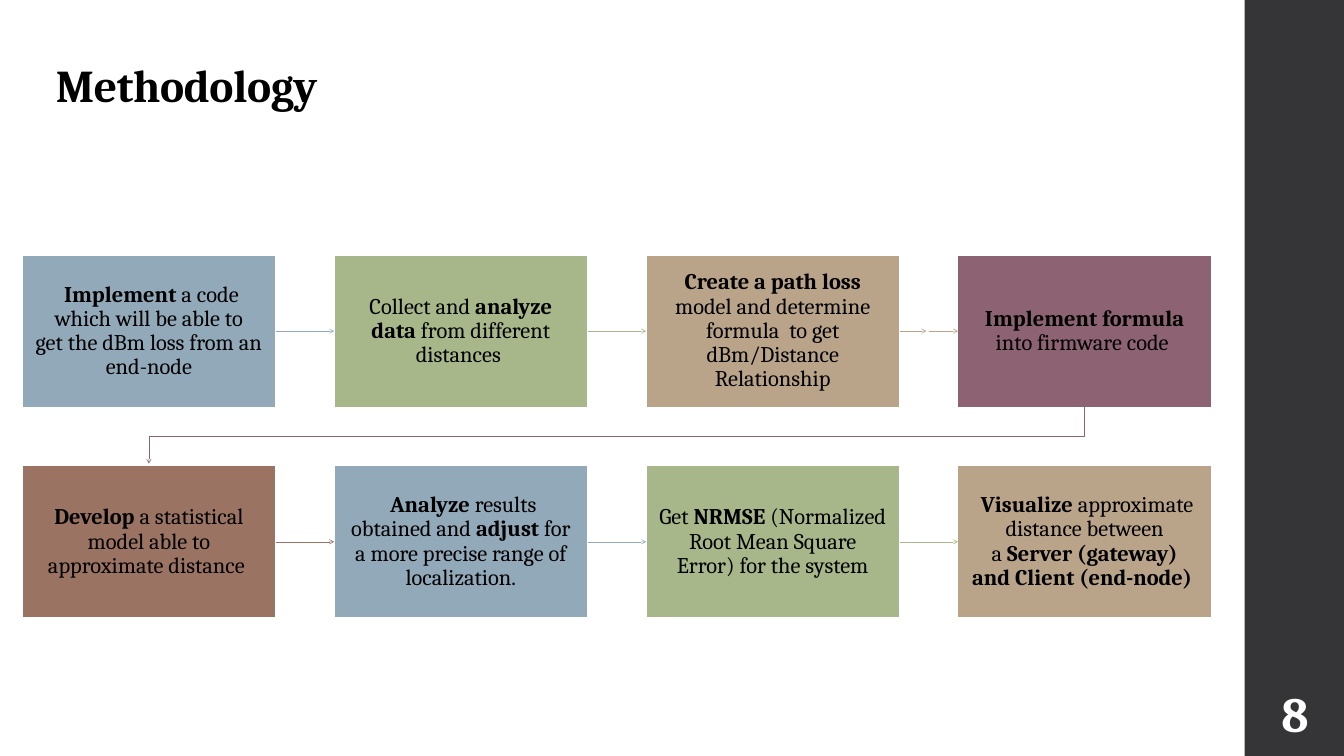
from dataclasses import dataclass

from lxml.etree import SubElement
from pptx import Presentation
from pptx.dml.color import RGBColor as Color
from pptx.enum.shapes import MSO_CONNECTOR as Link, MSO_SHAPE as Kind
from pptx.enum.text import MSO_ANCHOR as Anchor, PP_ALIGN as Align
from pptx.oxml.ns import qn
from pptx.util import Inches, Pt


@dataclass(frozen=True)
class Theme:
    font: str = "Cambria"
    ink: str = "000000"
    paper: str = "FFFFFF"
    bar: str = "353537"
    blue: str = "92A9B9"
    green: str = "A7B789"
    tan: str = "B9A489"
    plum: str = "8D6374"
    rust: str = "9B7362"
    title: float = 65
    body: float = 32
    page: float = 70
    edge: float = 1.35
    wire: float = 0.75


@dataclass(frozen=True)
class Step:
    text: str
    fill: str


T = Theme()
LEFT, TOP = 0.44, 5.06
WIDE, HIGH = 5.03, 3.02
PITCH, DROP = 6.19, 4.18
COLS = 4
SPLIT = 2
BOLD, TIE = "*", "~"
HARD = chr(160)

STEPS = [
    Step("*~Implement *a code which~will be able to get~the dBm loss from an end-node", T.blue),
    Step("Collect and *analyze data* from different distances~", T.green),
    Step("*Create a path loss* model and determine formula~ to get dBm/Distance Relationship", T.tan),
    Step("*Implement formula *into firmware code~", T.plum),
    Step("*Develop *a statistical model able to approximate distance~", T.rust),
    Step("*~Analyze *results obtained and *adjust* for a more precise range of localization.", T.blue),
    Step("Get *NRMSE* (Normalized Root Mean Square Error) for the system", T.green),
    Step("*~Visualize~*approximate distance between a~*Server (gateway) and Client (end-node)~*", T.tan),
]


def spot(index: int) -> tuple[float, float]:
    row, col = divmod(index, COLS)
    return LEFT + col * PITCH, TOP + row * DROP


def write(frame, text: str, size: float, color: str, align, anchor, pad=(0.1, 0.05)):
    frame.word_wrap = True
    frame.vertical_anchor = anchor
    frame.margin_left = frame.margin_right = Inches(pad[0])
    frame.margin_top = frame.margin_bottom = Inches(pad[1])
    para = frame.paragraphs[0]
    para.alignment = align
    para.line_spacing = 0.9
    font = para.font
    font.name, font.size = T.font, Pt(size)
    font.color.rgb = Color.from_string(color)
    for turn, part in enumerate(text.replace(TIE, HARD).split(BOLD)):
        if part:
            run = para.add_run()
            run.text = part
            run.font.bold = turn % 2 == 1
    return para


def block(slide, x: float, y: float, wide: float, high: float, fill: str):
    shape = slide.shapes.add_shape(
        Kind.RECTANGLE, Inches(x), Inches(y), Inches(wide), Inches(high))
    shape.shadow.inherit = False
    shape.fill.solid()
    shape.fill.fore_color.rgb = Color.from_string(fill)
    shape.line.fill.background()
    return shape


def label(slide, x: float, y: float, wide: float, high: float):
    return slide.shapes.add_textbox(
        Inches(x), Inches(y), Inches(wide), Inches(high)).text_frame


def card(slide, index: int, step: Step):
    shape = block(slide, *spot(index), WIDE, HIGH, step.fill)
    shape.line.color.rgb = Color.from_string(T.paper)
    shape.line.width = Pt(T.edge)
    write(shape.text_frame, step.text, T.body, T.ink,
          Align.CENTER, Anchor.MIDDLE, (0.25, 0.26))
    return shape


def style(line, color: str) -> None:
    line.color.rgb = Color.from_string(color)
    line.width = Pt(T.wire)
    SubElement(line._get_or_add_ln(), qn("a:tailEnd")).set("type", "arrow")


def arrow(slide, start: float, end: float, y: float, color: str):
    wire = slide.shapes.add_connector(
        Link.STRAIGHT, Inches(start), Inches(y), Inches(end), Inches(y))
    style(wire.line, color)
    SubElement(wire._element.spPr, qn("a:effectLst"))
    return wire


def join(slide, cards: list, index: int) -> None:
    x, y = spot(index)
    start, end, y = x + WIDE, x + PITCH, y + HIGH / 2
    color = STEPS[index].fill
    if index == SPLIT:
        first = arrow(slide, start, start + 0.53, y, color)
        last = arrow(slide, start + 0.59, end, y, color)
    else:
        first = last = arrow(slide, start, end, y, color)
    first.begin_connect(cards[index], 3)
    last.end_connect(cards[index + 1], 1)


def wrap(slide) -> None:
    right, top = spot(COLS - 1)
    left, end = spot(COLS)
    right, left = right + WIDE / 2, left + WIDE / 2
    top += HIGH
    turn = (top + end) / 2
    points = [(right, turn), (left, turn), (left, end - 0.04)]
    pen = slide.shapes.build_freeform(Inches(right), Inches(top))
    pen.add_line_segments([(Inches(x), Inches(y)) for x, y in points], close=False)
    shape = pen.convert_to_shape()
    shape.shadow.inherit = False
    shape.fill.background()
    style(shape.line, STEPS[COLS - 1].fill)


def main() -> None:
    deck = Presentation()
    deck.slide_width, deck.slide_height = Inches(26.67), Inches(15)
    slide = deck.slides.add_slide(deck.slide_layouts[6])

    block(slide, 24.7, 0, 2, 15, T.bar)
    head = write(label(slide, 1.01, 0.36, 21.2, 1.92), "*Methodology*",
                 T.title, T.ink, Align.LEFT, Anchor.BOTTOM)
    head.runs[0].font._element.set("spc", "-50")
    page = write(label(slide, 24.7, 13.5, 2, 1.3), "*8*", T.page, T.paper,
                 Align.CENTER, Anchor.MIDDLE, (0.05, 0.05))
    page.line_spacing = 1.0

    cards = [card(slide, index, step) for index, step in enumerate(STEPS)]
    for index in range(len(STEPS)):
        if (index + 1) % COLS:
            join(slide, cards, index)
    wrap(slide)
    deck.save("out.pptx")


if __name__ == "__main__":
    main()
